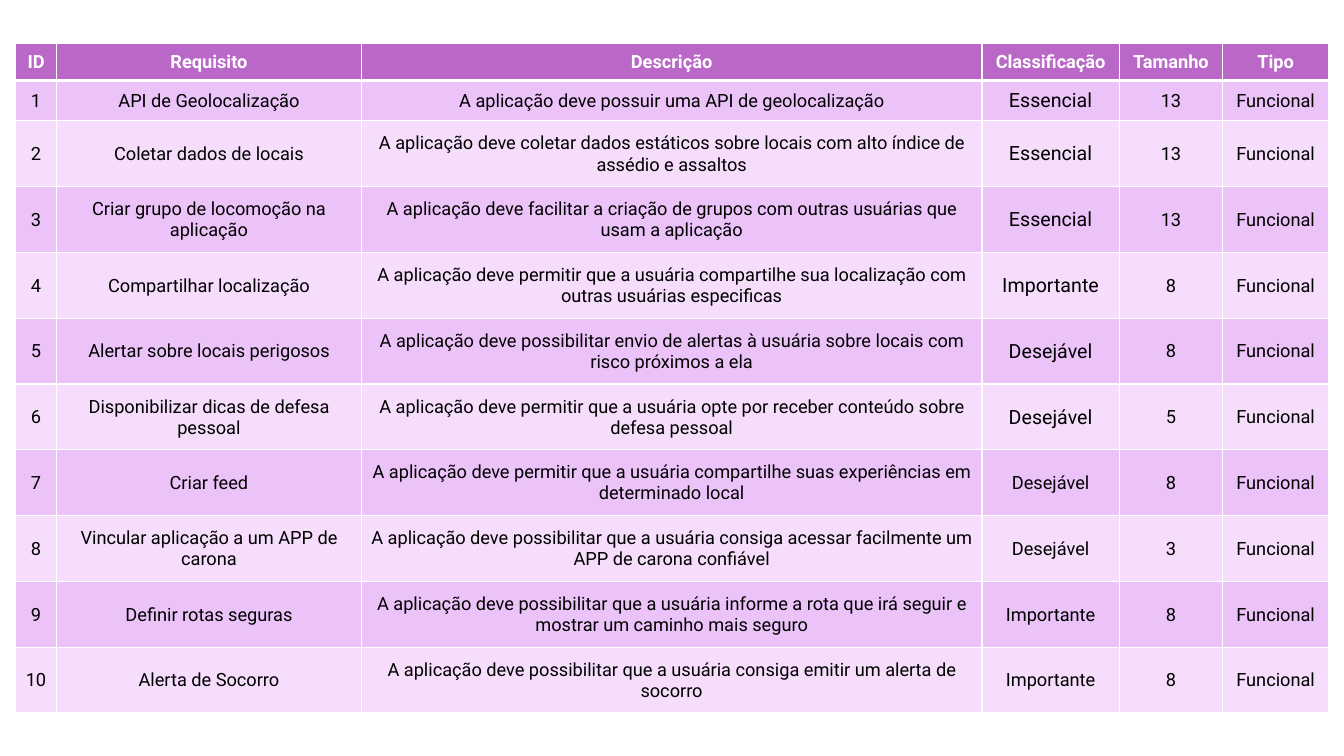
"""Builds a slide with the table of application requirements."""
from pptx import Presentation
from pptx.dml.color import RGBColor
from pptx.enum.text import MSO_ANCHOR, PP_ALIGN
from pptx.oxml.ns import qn
from pptx.util import Pt
from lxml.etree import SubElement

HEADINGS = ("ID", "Requisito", "Descrição", "Classificação", "Tamanho", "Tipo")
REQUIREMENTS = [
    ("API de Geolocalização",
     "A aplicação deve possuir uma API de geolocalização", "Essencial", 13),
    ("Coletar dados de locais",
     "A aplicação deve coletar dados estáticos sobre locais com alto índice de assédio e assaltos",
     "Essencial", 13),
    ("Criar grupo de locomoção na aplicação",
     "A aplicação deve facilitar a criação de grupos com outras usuárias que usam a aplicação",
     "Essencial", 13),
    ("Compartilhar localização",
     "A aplicação deve permitir que a usuária compartilhe sua localização com outras usuárias especificas",
     "Importante", 8),
    ("Alertar sobre locais perigosos",
     "A aplicação deve possibilitar envio de alertas à usuária sobre locais com risco próximos a ela",
     "Desejável", 8),
    ("Disponibilizar dicas de defesa pessoal",
     "A aplicação deve permitir que a usuária opte por receber conteúdo sobre defesa pessoal",
     "Desejável", 5),
    ("Criar feed",
     "A aplicação deve permitir que a usuária compartilhe suas experiências em determinado local",
     "Desejável", 8),
    ("Vincular aplicação a um APP de carona",
     "A aplicação deve possibilitar que a usuária consiga acessar facilmente um APP de carona confiável",
     "Desejável", 3),
    ("Definir rotas seguras",
     "A aplicação deve possibilitar que a usuária informe a rota que irá seguir e mostrar um caminho mais seguro",
     "Importante", 8),
    ("Alerta de Socorro",
     "A aplicação deve possibilitar que a usuária consiga emitir um alerta de socorro",
     "Importante", 8),
]
KIND = "Funcional"

WHITE = RGBColor(0xFF, 0xFF, 0xFF)
BLACK = RGBColor(0, 0, 0)
PURPLE = RGBColor(0xBA, 0x68, 0xC8)
LILAC = RGBColor(0xEC, 0xC3, 0xF9)
PALE_LILAC = RGBColor(0xF6, 0xDD, 0xFB)

FONT = "Roboto"
LEFT, TOP = 11, 31
COLUMN_WIDTHS = (29.5, 217.5, 443.5, 98, 74, 75.5)
ROW_HEIGHTS = [26.5, 28.8] + [47] * (len(REQUIREMENTS) - 1)
RATING_COLUMN = HEADINGS.index("Classificação")
LAST_LARGE_RATING = 6


def add_borders(cell, top, bottom):
    """Draw white borders around a cell."""
    properties = cell._tc.get_or_add_tcPr()
    for side, width in (("L", 1), ("R", 1), ("T", top), ("B", bottom)):
        border = SubElement(properties, qn(f"a:ln{side}"), w=str(Pt(width)))
        fill = SubElement(border, qn("a:solidFill"))
        SubElement(fill, qn("a:srgbClr"), val=str(WHITE))


def fill_cell(cell, text, row, column):
    """Write and format one cell of the table."""
    heading = row == 0
    add_borders(cell, top=3 if row == 1 else 1, bottom=3 if heading else 1)
    cell.fill.solid()
    cell.fill.fore_color.rgb = PURPLE if heading else LILAC if row % 2 else PALE_LILAC
    cell.vertical_anchor = MSO_ANCHOR.MIDDLE
    cell.margin_left = cell.margin_right = cell.margin_top = Pt(0.75)
    cell.margin_bottom = Pt(0)
    cell.text = str(text)
    paragraph = cell.text_frame.paragraphs[0]
    paragraph.alignment = PP_ALIGN.CENTER
    font = paragraph.font
    font.name = FONT
    large = column == RATING_COLUMN and 1 <= row <= LAST_LARGE_RATING
    font.size = Pt(14 if large else 13)
    font.bold = heading
    font.color.rgb = WHITE if heading else BLACK


deck = Presentation()
deck.slide_width, deck.slide_height = Pt(960), Pt(540)
slide = deck.slides.add_slide(deck.slide_layouts[6])

records = [HEADINGS] + [
    (number, *requirement, KIND) for number, requirement in enumerate(REQUIREMENTS, 1)
]
requirements = slide.shapes.add_table(
    len(records), len(HEADINGS), Pt(LEFT), Pt(TOP),
    Pt(sum(COLUMN_WIDTHS)), Pt(sum(ROW_HEIGHTS))).table
requirements.horz_banding = False
for column, width in zip(requirements.columns, COLUMN_WIDTHS):
    column.width = Pt(width)
for row, height in zip(requirements.rows, ROW_HEIGHTS):
    row.height = Pt(height)
for row, record in enumerate(records):
    for column, text in enumerate(record):
        fill_cell(requirements.cell(row, column), text, row, column)

deck.save("out.pptx")
